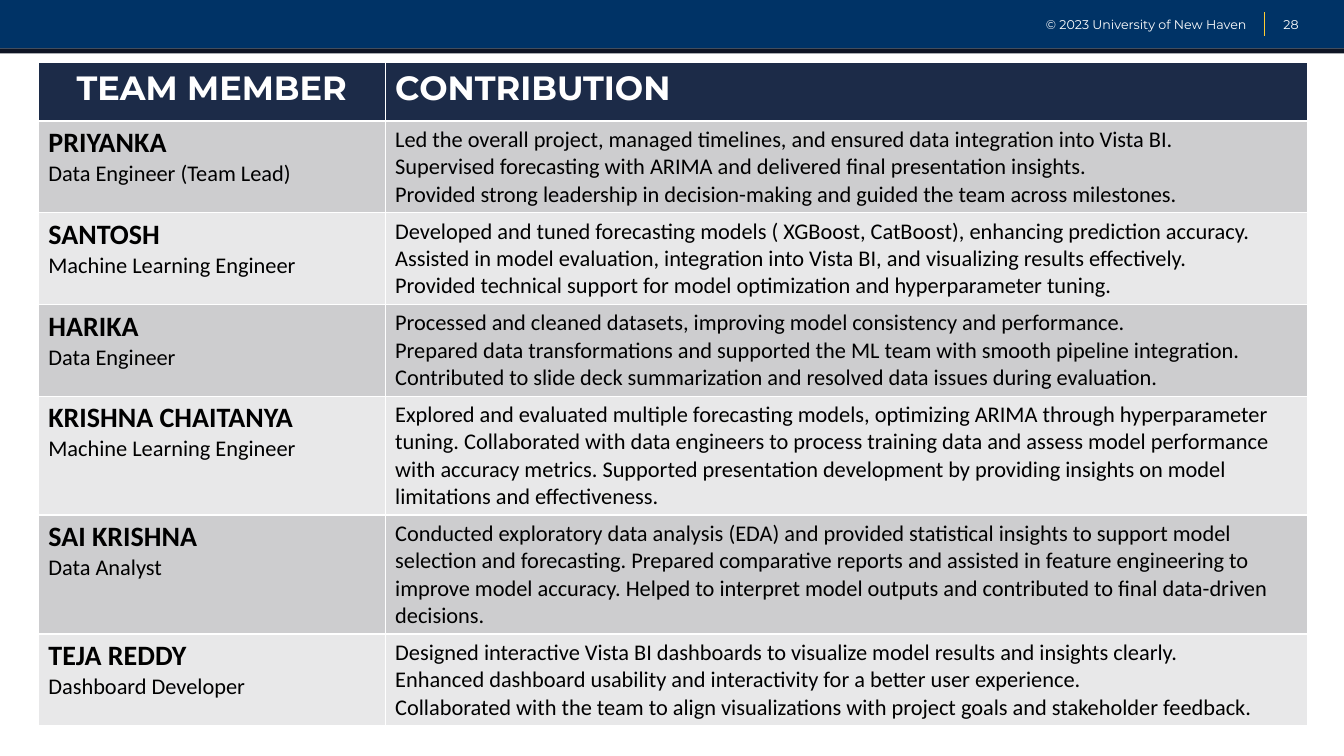
from dataclasses import dataclass

from pptx import Presentation
from pptx.dml.color import RGBColor
from pptx.enum.shapes import MSO_CONNECTOR, MSO_SHAPE
from pptx.enum.text import MSO_ANCHOR, PP_ALIGN
from pptx.oxml.ns import qn
from pptx.util import Inches, Pt
from lxml.etree import SubElement


@dataclass(frozen=True)
class Theme:
    banner: str = "003366"
    banner_edge: str = "0E1524"
    divider: str = "FFCC33"
    header: str = "1C2B48"
    bands: tuple = ("CDCDCF", "E8E8E9")
    light: str = "FFFFFF"
    dark: str = "000000"
    heading_font: str = "Montserrat"
    body_font: str = "Calibri"
    small: int = 9
    body: int = 16
    name: int = 20
    heading: int = 24


theme = Theme()


def add_text(paragraph, text, font, size, color, bold=False):
    run = paragraph.add_run()
    run.text = text
    run.font.name = font
    run.font.size = Pt(size)
    run.font.bold = bold
    run.font.color.rgb = RGBColor.from_string(color)


def fill_cell(cell, color):
    cell.fill.solid()
    cell.fill.fore_color.rgb = RGBColor.from_string(color)
    return cell.text_frame.paragraphs[0]


prs = Presentation()
prs.slide_width, prs.slide_height = Inches(13.33), Inches(7.5)
slide = prs.slides.add_slide(prs.slide_layouts[6])

# Banner and its lower edge
banner_height = 0.48
for top, height, color in [(0, banner_height, theme.banner),
                           (banner_height, 0.05, theme.banner_edge)]:
    band = slide.shapes.add_shape(MSO_SHAPE.RECTANGLE, 0, Inches(top),
                                  prs.slide_width, Inches(height))
    band.shadow.inherit = False
    band.fill.solid()
    band.fill.fore_color.rgb = RGBColor.from_string(color)
    band.line.fill.background()

# Copyright line and page number
for left, width, align, text in [
        (9.92, 2.44, PP_ALIGN.RIGHT, "© 2023 University of New Haven"),
        (12.73, 0.27, PP_ALIGN.LEFT, "28")]:
    frame = slide.shapes.add_textbox(Inches(left), Inches(0.17),
                                     Inches(width), Inches(0.14)).text_frame
    frame.word_wrap = True
    frame.vertical_anchor = MSO_ANCHOR.MIDDLE
    frame.margin_left = frame.margin_right = 0
    frame.margin_top = frame.margin_bottom = 0
    frame.paragraphs[0].alignment = align
    add_text(frame.paragraphs[0], text, theme.heading_font, theme.small, theme.light)

# Divider spans the middle half of the banner
divider = slide.shapes.add_connector(
    MSO_CONNECTOR.STRAIGHT, Inches(12.54), Inches(banner_height / 4),
    Inches(12.54), Inches(banner_height * 3 / 4))
divider.line.color.rgb = RGBColor.from_string(theme.divider)
divider.line.width = Pt(1)
SubElement(divider._element.spPr, qn("a:effectLst"))

# Team: name, role, lines drawn, contribution
team = [
    ("PRIYANKA", "Data Engineer (Team Lead)", 3, [
        "Led the overall project, managed timelines, and ensured data integration into Vista BI.",
        "Supervised forecasting with ARIMA and delivered final presentation insights.",
        "Provided strong leadership in decision-making and guided the team across milestones."]),
    ("SANTOSH", "Machine Learning Engineer", 3, [
        "Developed and tuned forecasting models ( XGBoost, CatBoost), enhancing prediction accuracy.",
        "Assisted in model evaluation, integration into Vista BI, and visualizing results effectively.",
        "Provided technical support for model optimization and hyperparameter tuning."]),
    ("HARIKA", "Data Engineer", 3, [
        "Processed and cleaned datasets, improving model consistency and performance.",
        "Prepared data transformations and supported the ML team with smooth pipeline integration. "
        "Contributed to slide deck summarization and resolved data issues during evaluation."]),
    ("KRISHNA CHAITANYA", "Machine Learning Engineer", 4, [
        "Explored and evaluated multiple forecasting models, optimizing ARIMA through "
        "hyperparameter tuning. Collaborated with data engineers to process training data and "
        "assess model performance with accuracy metrics. Supported presentation development by "
        "providing insights on model limitations and effectiveness."]),
    ("SAI KRISHNA", "Data Analyst", 4, [
        "Conducted exploratory data analysis (EDA) and provided statistical insights to support "
        "model selection and forecasting. Prepared comparative reports and assisted in feature "
        "engineering to improve model accuracy. Helped to interpret model outputs and contributed "
        "to final data-driven decisions."]),
    ("TEJA REDDY", "Dashboard Developer", 3, [
        "Designed interactive Vista BI dashboards to visualize model results and insights clearly.",
        "Enhanced dashboard usability and interactivity for a better user experience.",
        "Collaborated with the team to align visualizations with project goals and stakeholder feedback."]),
]

# Table grid: each row is as tall as its lines plus the cell margins
column_widths = (3.44, 9.15)
row_heights = [0.58] + [0.1 + 0.27 * lines for _, _, lines, _ in team]
table = slide.shapes.add_table(
    len(row_heights), len(column_widths), Inches(0.38), Inches(0.62),
    Inches(sum(column_widths)), Inches(sum(row_heights))).table
for column, width in zip(table.columns, column_widths):
    column.width = Inches(width)
for row, height in zip(table.rows, row_heights):
    row.height = Inches(height)

# Header row
for col, (heading, align) in enumerate([("TEAM MEMBER", PP_ALIGN.CENTER),
                                        ("CONTRIBUTION", PP_ALIGN.LEFT)]):
    paragraph = fill_cell(table.cell(0, col), theme.header)
    paragraph.alignment = align
    add_text(paragraph, heading, theme.heading_font, theme.heading, theme.light, True)

# Member rows in alternating bands
for index, (name, role, _, contribution) in enumerate(team):
    member_cell, contribution_cell = table.rows[index + 1].cells
    band_color = theme.bands[index % 2]

    paragraph = fill_cell(member_cell, band_color)
    add_text(paragraph, name, theme.body_font, theme.name, theme.dark, True)
    add_text(member_cell.text_frame.add_paragraph(), role,
             theme.body_font, theme.body, theme.dark)

    paragraph = fill_cell(contribution_cell, band_color)
    for number, sentence in enumerate(contribution):
        if number:
            paragraph.add_line_break()
        add_text(paragraph, sentence, theme.body_font, theme.body, theme.dark)

prs.save("out.pptx")
